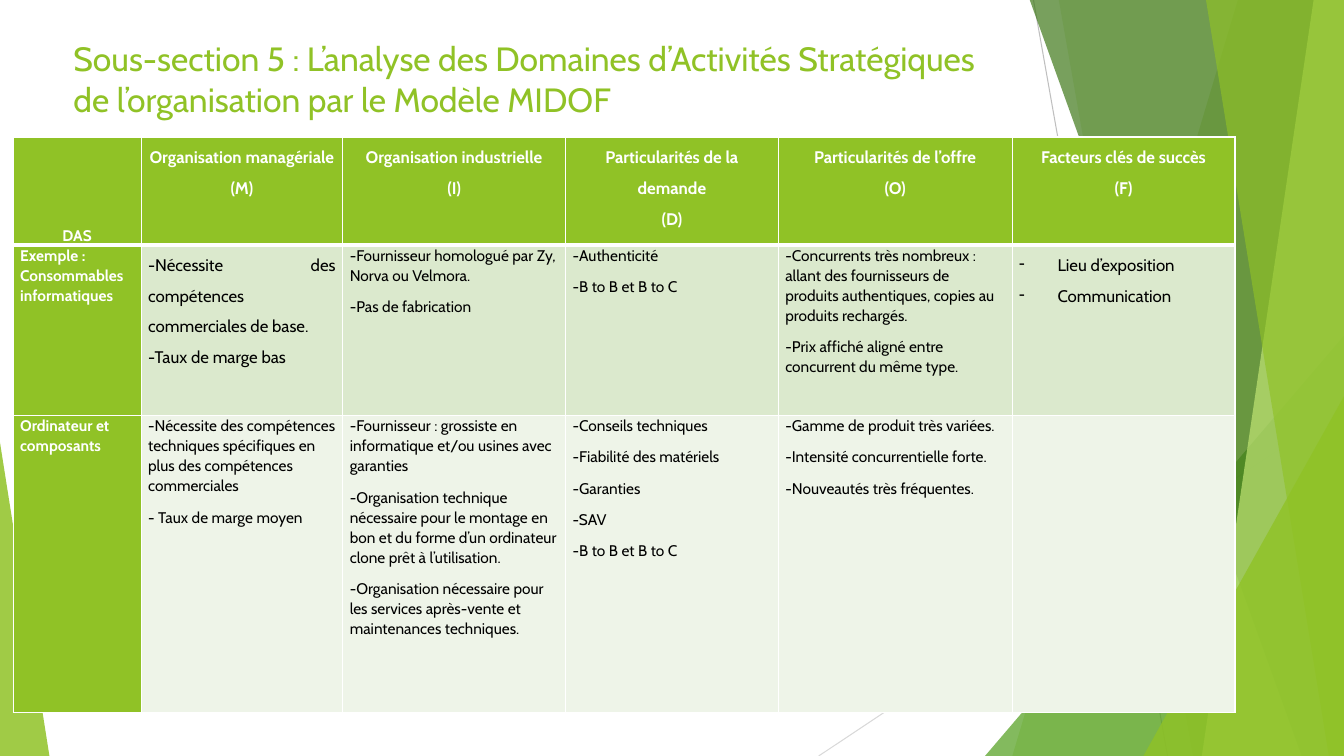
from lxml.etree import SubElement
from pptx import Presentation
from pptx.dml.color import RGBColor
from pptx.enum.shapes import MSO_CONNECTOR, MSO_SHAPE
from pptx.enum.text import MSO_ANCHOR, PP_ALIGN
from pptx.oxml.ns import qn
from pptx.util import Pt

SCALE = 9144
WIDTH, HEIGHT = 1333, 750
FONT = "Cabin"
COLORS = {
    "green": "90C226", "leaf": "54A021", "forest": "3F7819", "lime": "C0E474",
    "white": "FFFFFF", "black": "000000", "pale": "DBE9CD", "mist": "EEF4E8",
    "gray": "BFBFBF", "silver": "D9D9D9",
}
TITLE = {"paragraph": {}, "font": {"size": Pt(24)}}
LOOSE = {"paragraph": {"line_spacing": 1.5}, "font": {"size": Pt(12)}}
JUSTIFIED = {"paragraph": {"line_spacing": 1.5, "alignment": PP_ALIGN.JUSTIFY},
             "font": {"size": Pt(12)}}
TIGHT = {"paragraph": {"line_spacing": 1.07, "space_after": Pt(8)},
         "font": {"size": Pt(11)}}
HEADER = {"paragraph": {"line_spacing": 1.5, "alignment": PP_ALIGN.CENTER},
          "font": {"size": Pt(12), "bold": True}}
CORNER = {"paragraph": HEADER["paragraph"], "font": {"size": Pt(11), "bold": True}}
LABEL = {"paragraph": TIGHT["paragraph"], "font": {"size": Pt(11), "bold": True}}

COLUMN_WIDTHS = [127, 200, 221, 211, 232, 221]
ROW_HEIGHTS = [107, 169, 295]
ROW_COLORS = ["green", "pale", "mist"]
ROWS = [
    [["DAS"],
     ["Organisation managériale", "(M)"],
     ["Organisation industrielle", "(I)"],
     ["Particularités de la demande", "(D)"],
     ["Particularités de l’offre", "(O)"],
     ["Facteurs clés de succès", "(F)"]],
    [["Exemple : Consommables informatiques"],
     ["-Nécessite des compétences commerciales de base.", "-Taux de marge bas"],
     ["-Fournisseur homologué par Zy, Norva ou Velmora.", "-Pas de fabrication"],
     ["-Authenticité", "-B to B et B to C"],
     ["-Concurrents très nombreux : allant des fournisseurs de produits "
      "authentiques, copies au produits rechargés.",
      "-Prix affiché aligné entre concurrent du même type."],
     ["Lieu d’exposition", "Communication"]],
    [["Ordinateur et composants"],
     ["-Nécessite des compétences techniques spécifiques en plus des "
      "compétences commerciales", "- Taux de marge moyen"],
     ["-Fournisseur : grossiste en informatique et/ou usines avec garanties",
      "-Organisation technique nécessaire pour le montage en bon et du forme "
      "d’un ordinateur clone prêt à l’utilisation.",
      "-Organisation nécessaire pour les services après-vente et maintenances "
      "techniques."],
     ["-Conseils techniques", "-Fiabilité des matériels", "-Garanties", "-SAV",
      "-B to B et B to C"],
     ["-Gamme de produit très variées.", "-Intensité concurrentielle forte.",
      "-Nouveautés très fréquentes."],
     []],
]
CELL_STYLES = {(0, 0): CORNER, (1, 1): JUSTIFIED, (1, 5): LOOSE}


def apply_format(target, values):
    for name, value in values.items():
        setattr(target, name, value)


def rgb(color):
    return RGBColor.from_string(COLORS[color])


class SlideBuilder:
    def __init__(self, slide, font_name):
        self.slide = slide
        self.font_name = font_name

    def line(self, start, end, color):
        connector = self.slide.shapes.add_connector(
            MSO_CONNECTOR.STRAIGHT, *[value * SCALE for value in (*start, *end)])
        connector.line.color.rgb = rgb(color)
        connector.line.width = Pt(0.75)
        SubElement(connector._element.spPr, qn("a:effectLst"))

    def paint(self, shape, color, opacity):
        shape.shadow.inherit = False
        shape.fill.solid()
        shape.fill.fore_color.rgb = rgb(color)
        shape.line.fill.background()
        color_element = shape._element.spPr.find(qn("a:solidFill"))[0]
        SubElement(color_element, qn("a:alpha"), val=str(opacity * 1000))

    def band(self, top, bottom, color, opacity):
        builder = self.slide.shapes.build_freeform(top, -1, scale=SCALE)
        builder.add_line_segments([(WIDTH, -1), (WIDTH, HEIGHT), (bottom, HEIGHT)])
        self.paint(builder.convert_to_shape(), color, opacity)

    def triangle(self, box, apex, color, opacity):
        shape = self.slide.shapes.add_shape(
            MSO_SHAPE.ISOSCELES_TRIANGLE, *[value * SCALE for value in box])
        shape.adjustments[0] = apex
        self.paint(shape, color, opacity)

    def fill_text(self, frame, texts, style, color, bullet=False):
        for index, text in enumerate(texts):
            paragraph = frame.add_paragraph() if index else frame.paragraphs[0]
            apply_format(paragraph, style["paragraph"])
            if bullet:
                properties = paragraph._p.get_or_add_pPr()
                properties.set("marL", str(38 * SCALE))
                properties.set("indent", str(-38 * SCALE))
                SubElement(properties, qn("a:buChar"), char="-")
            run = paragraph.add_run()
            run.text = text
            apply_format(run.font, {"name": self.font_name, **style["font"]})
            run.font.color.rgb = rgb(color)

    def text(self, box, texts, style, color):
        shape = self.slide.shapes.add_textbox(*[value * SCALE for value in box])
        shape.text_frame.word_wrap = True
        self.fill_text(shape.text_frame, texts, style, color)

    def cell(self, cell, color, border_widths):
        properties = cell._tc.get_or_add_tcPr()
        for side, width in border_widths.items():
            border = SubElement(properties, qn(f"a:ln{side}"), w=str(Pt(width)))
            fill = SubElement(border, qn("a:solidFill"))
            SubElement(fill, qn("a:srgbClr"), val=COLORS["white"])
        cell.fill.solid()
        cell.fill.fore_color.rgb = rgb(color)
        apply_format(cell, {"margin_left": 7 * SCALE, "margin_right": 7 * SCALE,
                            "margin_top": 0, "margin_bottom": 0})

    def table(self, left, top):
        table = self.slide.shapes.add_table(
            len(ROW_HEIGHTS), len(COLUMN_WIDTHS), left * SCALE, top * SCALE,
            sum(COLUMN_WIDTHS) * SCALE, sum(ROW_HEIGHTS) * SCALE).table
        apply_format(table, {"first_row": False, "horz_banding": False})
        for column, width in zip(table.columns, COLUMN_WIDTHS):
            column.width = width * SCALE
        for row, height in zip(table.rows, ROW_HEIGHTS):
            row.height = height * SCALE
        for row, contents in enumerate(ROWS):
            borders = {"L": 1, "R": 1, "T": 3 if row == 1 else 1,
                       "B": 3 if row == 0 else 1}
            for column, texts in enumerate(contents):
                heading = row == 0 or column == 0
                default = HEADER if row == 0 else LABEL if column == 0 else TIGHT
                style = CELL_STYLES.get((row, column), default)
                cell = table.cell(row, column)
                self.cell(cell, "green" if heading else ROW_COLORS[row], borders)
                self.fill_text(cell.text_frame, texts, style,
                               "white" if heading else "black", bullet=style is LOOSE)
        table.cell(0, 0).vertical_anchor = MSO_ANCHOR.BOTTOM


def main():
    presentation = Presentation()
    presentation.slide_width = WIDTH * SCALE
    presentation.slide_height = HEIGHT * SCALE
    slide = presentation.slides.add_slide(presentation.slide_layouts[6])
    builder = SlideBuilder(slide, FONT)
    builder.line((1025, 0), (1158, 750), "gray")
    builder.line((1333, 403), (812, 750), "silver")
    builder.band(1228, 1004, "green", 30)
    builder.band(1050, 1183, "green", 20)
    builder.triangle((977, 333, 356, 417), 1, "leaf", 72)
    builder.band(1021, 1291, "forest", 70)
    builder.band(1303, 1192, "lime", 70)
    builder.band(1196, 1318, "green", 65)
    builder.triangle((1134, 393, 199, 357), 1, "green", 80)
    builder.triangle((0, 439, 49, 311), 0, "green", 85)
    builder.text((63, 33, 940, 112),
                 ["Sous-section 5 : L’analyse des Domaines d’Activités Stratégiques "
                  "de l’organisation par le Modèle MIDOF"], TITLE, "green")
    builder.table(13, 136)
    presentation.save("out.pptx")


if __name__ == "__main__":
    main()
